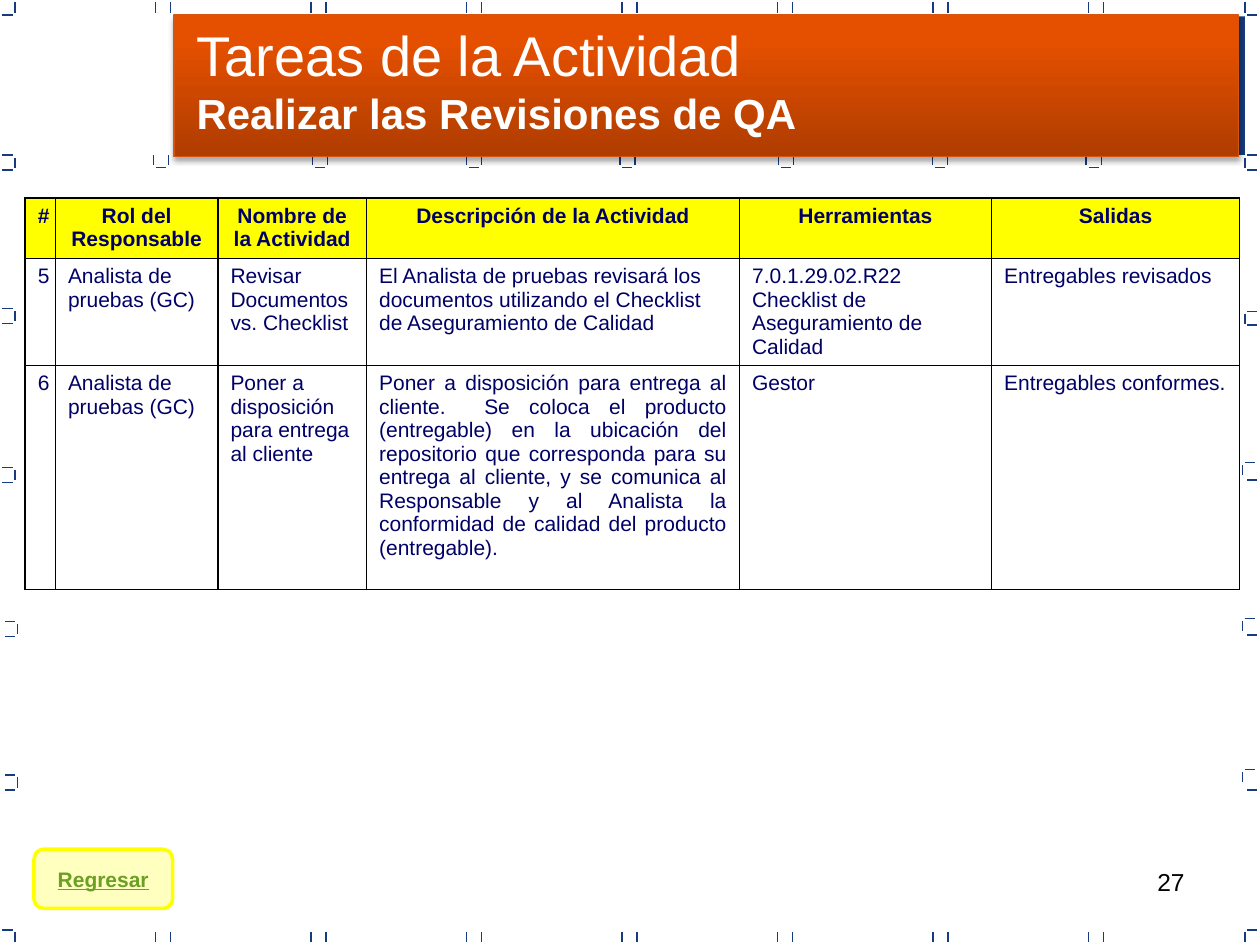
from dataclasses import dataclass
from typing import NamedTuple

from pptx import Presentation
from pptx.dml.color import RGBColor
from pptx.enum.shapes import MSO_CONNECTOR, MSO_SHAPE
from pptx.enum.text import MSO_ANCHOR, MSO_AUTO_SIZE, PP_ALIGN
from pptx.oxml import parse_xml
from pptx.oxml.ns import nsdecls, qn
from pptx.util import Inches, Pt

LEFT, CENTER, RIGHT, JUSTIFY = PP_ALIGN.LEFT, PP_ALIGN.CENTER, PP_ALIGN.RIGHT, PP_ALIGN.JUSTIFY
TOP, MIDDLE = MSO_ANCHOR.TOP, MSO_ANCHOR.MIDDLE
NO_AUTOFIT = MSO_AUTO_SIZE.NONE
STRAIGHT = MSO_CONNECTOR.STRAIGHT
RECTANGLE, BUTTON = MSO_SHAPE.RECTANGLE, MSO_SHAPE.FLOWCHART_ALTERNATE_PROCESS

CELLS_PER_INCH = 50
COLUMNS, ROWS = 500, 375
TICK = 4
NAVY, INK, YELLOW, WHITE, BLACK = "163B7F", "000066", "FFFF00", "FFFFFF", "000000"
BANNER_STOPS = [(0, "AF3D00"), (80, "E44F00"), (100, "E54F00")]


class Box(NamedTuple):
    """A rectangle in grid cells."""
    left: float
    top: float
    width: float
    height: float


class Bracket(NamedTuple):
    """An edge mark: its left side, its top and its foot, in grid cells."""
    left: float
    top: float
    foot: float


@dataclass
class TextStyle:
    """The look of one paragraph."""
    size: float = 12
    color: str = INK
    bold: bool = False
    underline: bool = False
    align: PP_ALIGN = LEFT


LEFT_BRACKETS = [Bracket(left, top, top + 6)
                 for left, top in [(1, 61.5), (1, 122.5), (1, 185.5), (2, 246.5), (2, 307.5)]]
RIGHT_BRACKETS = [Bracket(494, 61.5, 67.5), Bracket(494, 123.5, 129), Bracket(493, 183.5, 190.5),
                  Bracket(493, 245.5, 252), Bracket(493, 305.5, 313.5)]
CUP_LEFTS = [61, 124, 185, 246, 309, 370, 431]
PAIR_STEP = 61.7

TABLE_BOX = Box(10, 78.5, 482, 155.5)
COLUMN_WIDTHS = [12, 64.5, 59, 148, 100, 98.5]
ROW_HEIGHTS = [24, 42.5, 89]
TASKS = [
    ["#", "Rol del Responsable", "Nombre de la Actividad", "Descripción de la Actividad",
     "Herramientas", "Salidas"],
    ["5", "Analista de pruebas (GC)", "Revisar Documentos vs. Checklist",
     "El Analista de pruebas revisará los documentos utilizando el Checklist "
     "de Aseguramiento de Calidad",
     "7.0.1.29.02.R22 Checklist de Aseguramiento de Calidad", "Entregables revisados"],
    ["6", "Analista de pruebas (GC)", "Poner a disposición para entrega al cliente",
     "Poner a disposición para entrega al cliente.  Se coloca el producto (entregable) en la "
     "ubicación del repositorio que corresponda para su entrega al cliente, y se comunica al "
     "Responsable y al Analista la conformidad de calidad del producto (entregable).",
     "Gestor", "Entregables conformes."],
]


def grid(cells: float) -> int:
    """Turn grid cells into a length."""
    return Inches(cells / CELLS_PER_INCH)


def rgb(color: str) -> RGBColor:
    """Turn a hex string into a colour."""
    return RGBColor.from_string(color)


def set_attributes(target, values: dict) -> None:
    """Set each named attribute of an object."""
    for name, value in values.items():
        setattr(target, name, value)


def write(paragraph, text: str, style: TextStyle) -> None:
    """Put one styled run into a paragraph."""
    paragraph.alignment = style.align
    run = paragraph.add_run()
    run.text = text
    set_attributes(run.font, {"name": "Arial", "size": Pt(style.size), "bold": style.bold,
                              "underline": style.underline})
    run.font.color.rgb = rgb(style.color)


def add_line(slide, left: float, top: float, width: float, height: float) -> None:
    """Draw one thin navy tick."""
    line = slide.shapes.add_connector(STRAIGHT, grid(left), grid(top),
                                      grid(left + width), grid(top + height))
    line.line.color.rgb = rgb(NAVY)
    line.line.width = Pt(0.75)
    line._element.spPr.append(parse_xml(f"<a:effectLst {nsdecls('a')}/>"))


def add_frame(slide) -> None:
    """Draw the tick marks around the edges and under the banner."""
    for y in (1, 370):
        for x in (6, 494):
            add_line(slide, x, y, 0, TICK)
        for index in range(1, 8):
            for offset in (0, 6):
                add_line(slide, PAIR_STEP * index + offset, y, 0, TICK)
    for y in (6, 369):
        for x in (1, 495):
            add_line(slide, x, y, TICK, 0)
    for brackets, side, arm in ((LEFT_BRACKETS, 5, 0), (RIGHT_BRACKETS, 0, 1)):
        for bracket in brackets:
            add_line(slide, bracket.left + side, bracket.top + 1, 0, TICK)
            add_line(slide, bracket.left + arm, bracket.top, TICK, 0)
            foot_left = 495 if arm else bracket.left
            add_line(slide, foot_left, bracket.foot, TICK, 0)
    for left in CUP_LEFTS:
        for offset in (0, 6):
            add_line(slide, left + offset, 61.5, 0, TICK)
        add_line(slide, left + 1, 66.5, TICK, 0)


def add_block(slide, kind, box: Box, fill: str):
    """Draw a flat filled shape without line or shadow."""
    shape = slide.shapes.add_shape(kind, *map(grid, box))
    shape.shadow.inherit = False
    shape.fill.solid()
    shape.fill.fore_color.rgb = rgb(fill)
    shape.line.fill.background()
    return shape


def add_banner(slide) -> None:
    """Draw the orange gradient banner over its navy backing."""
    add_block(slide, RECTANGLE, Box(69, 6.5, 425, 55), NAVY)
    banner = add_block(slide, RECTANGLE, Box(69, 6, 422.5, 56), BANNER_STOPS[0][1])
    banner.line.color.rgb = rgb("D55511")
    banner.line.width = Pt(0.75)
    banner.fill.gradient()
    banner.fill.gradient_angle = 90
    properties = banner._element.spPr
    stops = properties.find(qn("a:gradFill")).find(qn("a:gsLst"))
    for stop in list(stops):
        stops.remove(stop)
    for position, color in BANNER_STOPS:
        stops.append(parse_xml(f'<a:gs {nsdecls("a")} pos="{position * 1000}">'
                               f'<a:srgbClr val="{color}"/></a:gs>'))
    properties.find(qn("a:effectLst")).append(parse_xml(
        f'<a:outerShdw {nsdecls("a")} blurRad="{Pt(3.1)}" dist="{Pt(1.8)}" dir="5400000" '
        f'rotWithShape="0"><a:srgbClr val="{BLACK}"><a:alpha val="35000"/></a:srgbClr>'
        '</a:outerShdw>'))


def add_title(slide) -> None:
    """Place the two-line title above the banner."""
    title = slide.shapes.title
    set_attributes(title, dict(zip(Box._fields, map(grid, Box(73, 3, 327, 51.5)))))
    frame = title.text_frame
    set_attributes(frame, {"auto_size": NO_AUTOFIT, "vertical_anchor": TOP, "word_wrap": True,
                           "margin_top": grid(5), "margin_bottom": 0})
    write(frame.paragraphs[0], "Tareas de la Actividad", TextStyle(32, WHITE))
    write(frame.add_paragraph(), "Realizar las Revisiones de QA", TextStyle(24, WHITE, True))
    slide.shapes._spTree.append(title._element)


def format_cell(cell, text: str, style: TextStyle, is_header: bool) -> None:
    """Fill one table cell and give it black borders."""
    write(cell.text_frame.paragraphs[0], text, style)
    for side in ("lnL", "lnR", "lnT", "lnB"):
        cell._tc.get_or_add_tcPr().append(parse_xml(
            f'<a:{side} {nsdecls("a")} w="{Pt(1)}"><a:solidFill><a:srgbClr val="{BLACK}"/>'
            f'</a:solidFill></a:{side}>'))
    if is_header:
        cell.fill.solid()
        cell.fill.fore_color.rgb = rgb(YELLOW)
    else:
        cell.fill.background()


def add_task_table(slide) -> None:
    """Build the table of tasks."""
    table = slide.shapes.add_table(len(TASKS), len(COLUMN_WIDTHS), *map(grid, TABLE_BOX)).table
    set_attributes(table, {"first_row": False, "horz_banding": False})
    for column, width in zip(table.columns, COLUMN_WIDTHS):
        column.width = grid(width)
    for row, height in zip(table.rows, ROW_HEIGHTS):
        row.height = grid(height)
    for row_index, task in enumerate(TASKS):
        for column_index, text in enumerate(task):
            is_header = row_index == 0
            align = CENTER if is_header or column_index == 0 else LEFT
            if (row_index, column_index) == (2, 3):
                align = JUSTIFY
            format_cell(table.cell(row_index, column_index), text,
                        TextStyle(bold=is_header, align=align), is_header)


def add_footer(slide) -> None:
    """Add the return button and the slide number."""
    button = add_block(slide, BUTTON, Box(13.5, 337, 55, 23.5), YELLOW)
    color = button._element.spPr.find(qn("a:solidFill"))[0]
    color.append(parse_xml(f'<a:alpha {nsdecls("a")} val="25000"/>'))
    button.line.color.rgb = rgb(YELLOW)
    button.line.width = Pt(2)
    set_attributes(button.text_frame, {"word_wrap": False, "vertical_anchor": MIDDLE})
    write(button.text_frame.paragraphs[0], "Regresar",
          TextStyle(12, "6B9F25", True, True, CENTER))
    number = slide.shapes.add_textbox(*map(grid, Box(358.5, 341.5, 116.5, 26)))
    number.text_frame.word_wrap = True
    write(number.text_frame.paragraphs[0], "27", TextStyle(14, BLACK, align=RIGHT))


def main() -> None:
    """Build and save the slide."""
    presentation = Presentation()
    set_attributes(presentation, {"slide_width": grid(COLUMNS), "slide_height": grid(ROWS)})
    slide = presentation.slides.add_slide(presentation.slide_layouts.get_by_name("Title Only"))
    for draw in (add_frame, add_task_table, add_footer, add_banner, add_title):
        draw(slide)
    presentation.save("out.pptx")


if __name__ == "__main__":
    main()
